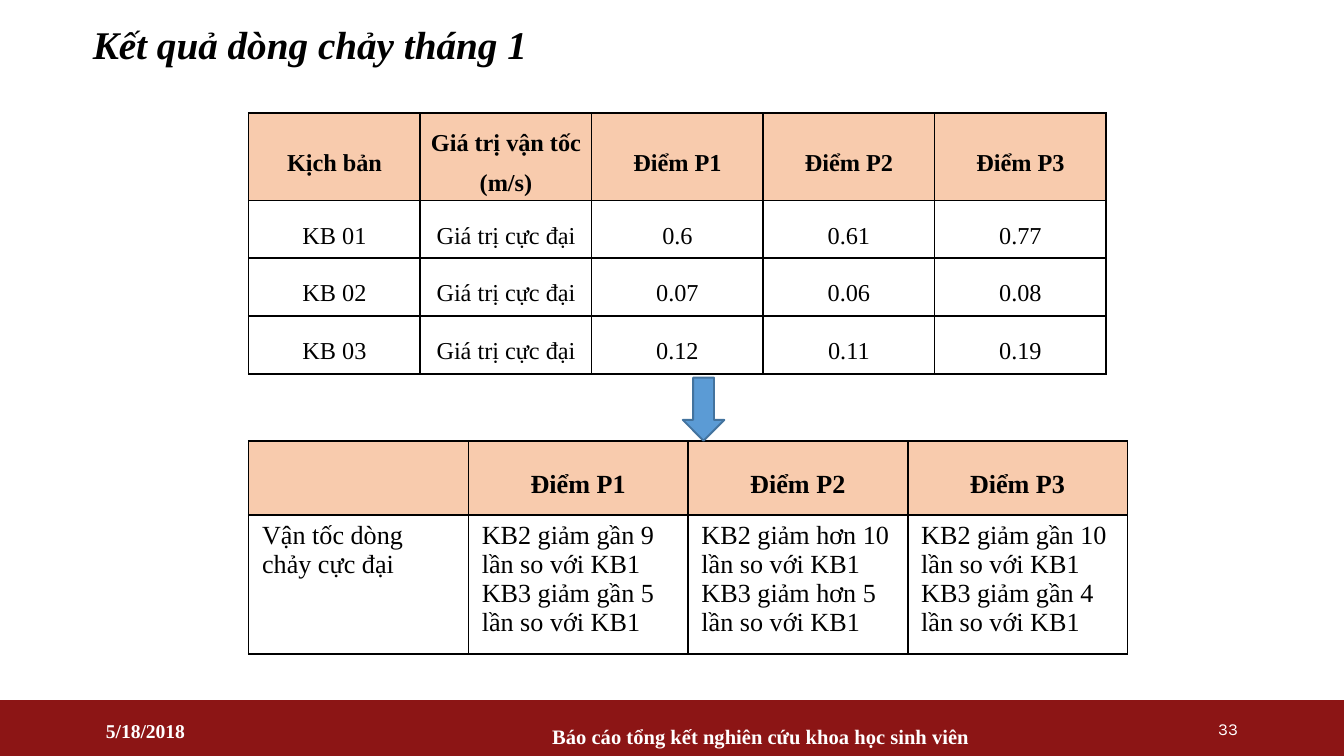
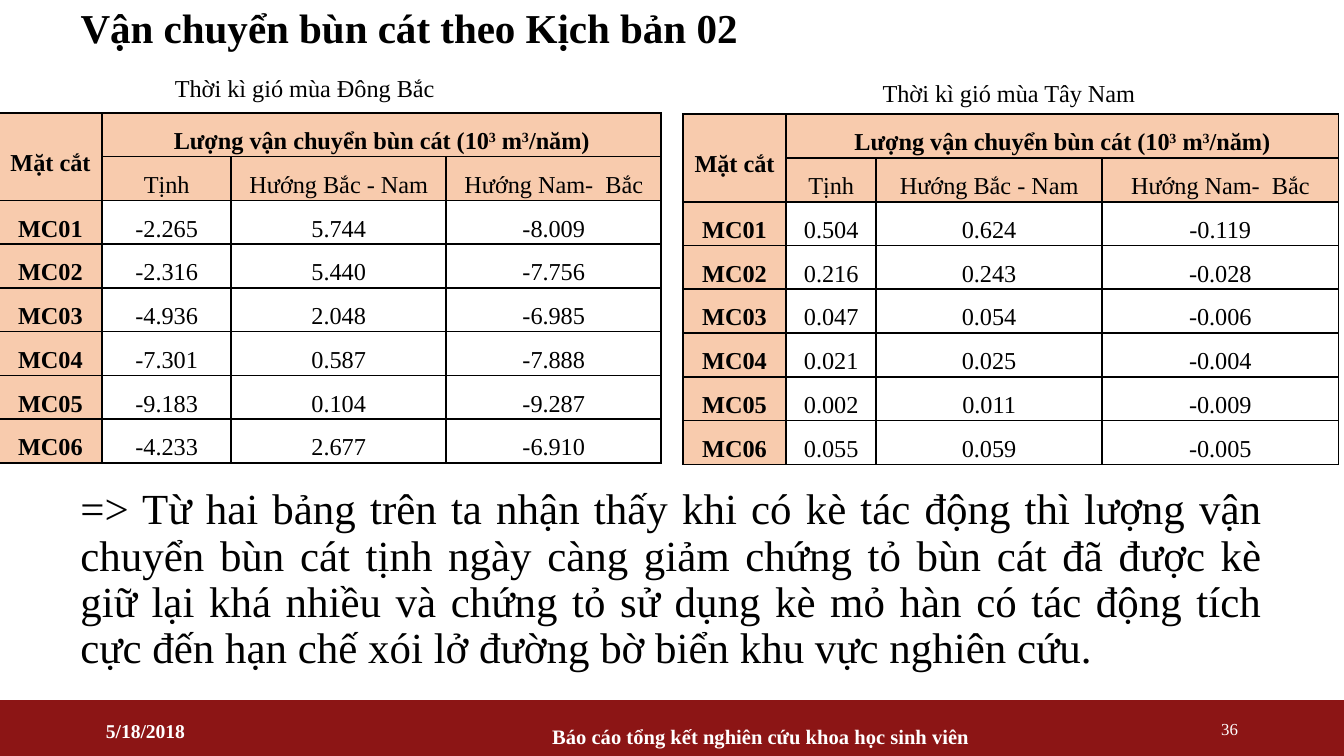
from dataclasses import dataclass

from lxml import etree
from pptx import Presentation
from pptx.dml.color import RGBColor
from pptx.enum.shapes import MSO_SHAPE
from pptx.enum.text import MSO_ANCHOR, MSO_AUTO_SIZE, PP_ALIGN
from pptx.oxml.ns import qn
from pptx.util import Inches, Pt

LEFT, MID, RIGHT, JUST = PP_ALIGN.LEFT, PP_ALIGN.CENTER, PP_ALIGN.RIGHT, PP_ALIGN.JUSTIFY
TOP, CENTER = MSO_ANCHOR.TOP, MSO_ANCHOR.MIDDLE
RECT, ARROW = MSO_SHAPE.RECTANGLE, MSO_SHAPE.DOWN_ARROW
FIXED = MSO_AUTO_SIZE.NONE
WIDE = 10
HIGH = WIDE * 9 / 16


@dataclass(frozen=True)
class Theme:
    """Colours, fonts and type sizes of the deck."""
    ink: str = "000000"
    paper: str = "FFFFFF"
    band: str = "8C1515"
    head: str = "F8CBAD"
    arrow: str = "5B9BD5"
    edge: str = "43739E"
    face: str = "Times New Roman"
    alt: str = "Karla"
    result: float = 21
    title: float = 22
    body: float = 23
    cell: float = 13
    note: float = 14
    date: float = 10.5
    foot: float = 11
    page: float = 9


THEME = Theme()


def put(item, **values):
    """Set every given attribute on an item."""
    for name, value in values.items():
        setattr(item, name, value)


def place(item, box):
    """Move an item to a box given in inches."""
    put(item, **dict(zip(("left", "top", "width", "height"), map(Inches, box))))


def style(run, size, color=THEME.ink, face=THEME.face, bold=False, italic=False):
    """Format the font of a run."""
    put(run.font, size=Pt(size), name=face, bold=bold, italic=italic)
    run.font.color.rgb = RGBColor.from_string(color)


def write(frame, text, size, para=None, **font):
    """Fill a frame line by line; text between carets is raised."""
    for num, line in enumerate(text.split("\n")):
        part = frame.add_paragraph() if num else frame.paragraphs[0]
        put(part, **(para or {}))
        for turn, piece in enumerate(line.split("^")):
            run = part.add_run()
            run.text = piece
            style(run, size, **font)
            if turn % 2:
                run.font._element.set("baseline", "30000")


def label(slide, box, text, size, align=MID, anchor=CENTER, wrap=True, gap=1, **font):
    """Add a text box."""
    item = slide.shapes.add_textbox(*map(Inches, box))
    put(item.text_frame, word_wrap=wrap, vertical_anchor=anchor)
    write(item.text_frame, text, size, {"alignment": align, "line_spacing": gap}, **font)


def block(slide, kind, box, fill, edge=None):
    """Add a filled preset shape."""
    item = slide.shapes.add_shape(kind, *map(Inches, box))
    item.shadow.inherit = False
    item.fill.solid()
    item.fill.fore_color.rgb = RGBColor.from_string(fill)
    if edge:
        item.line.color.rgb = RGBColor.from_string(edge)
        item.line.width = Pt(1)
    else:
        item.line.fill.background()


def title(slide, box, text, size, anchor, italic=False):
    """Place and format the title."""
    item = slide.shapes.title
    place(item, box)
    put(item.text_frame, word_wrap=True, auto_size=FIXED, vertical_anchor=anchor)
    write(item.text_frame, text, size, {"alignment": LEFT, "line_spacing": 0.9},
          bold=True, italic=italic)


def footer(slide, box, page, face):
    """Draw the band with date, report name and page number."""
    x, y = box[:2]
    white = {"color": THEME.paper}
    block(slide, RECT, box, THEME.band)
    label(slide, (x + 0.69, y + 0.08, 1.24, 0.3), "5/18/2018", THEME.date, LEFT,
          bold=True, **white)
    label(slide, (x + 3.5, y + 0.12, 4.32, 0.3),
          "Báo cáo tổng kết nghiên cứu khoa học sinh viên", THEME.foot, bold=True, **white)
    label(slide, (x + 7.94, y + 0.06, 1.37, 0.3), page, THEME.page, RIGHT, face=face, **white)


def border(cell):
    """Draw thin lines on all sides of a cell."""
    props = cell._tc.get_or_add_tcPr()
    for side in "LRTB":
        line = etree.SubElement(props, qn("a:ln" + side), w=str(Pt(1)))
        fill = etree.SubElement(line, qn("a:solidFill"))
        etree.SubElement(fill, qn("a:srgbClr"), val=THEME.ink)


def grid(slide, box, cols, rows, data, size=THEME.cell, tops=1, sides=0, loose=False):
    """Add a table with shaded head rows and side columns."""
    item = slide.shapes.add_table(len(rows), len(cols), *map(Inches, box))
    table = item.table
    put(table, first_row=False, horz_banding=False)
    for col, width in zip(table.columns, cols):
        col.width = Inches(width)
    for row, height in zip(table.rows, rows):
        row.height = Inches(height)
    place(item, box)
    for r, line in enumerate(data):
        for c, text in enumerate(line):
            cell = table.cell(r, c)
            shade = r < tops or c < sides
            border(cell)
            cell.fill.solid()
            cell.fill.fore_color.rgb = RGBColor.from_string(THEME.head if shade else THEME.paper)
            para = {"alignment": LEFT}
            if shade or not loose:
                put(cell, vertical_anchor=CENTER, margin_left=Inches(0.07),
                    margin_right=Inches(0.07), margin_top=0, margin_bottom=0)
                para = {"alignment": MID, "line_spacing": 1.5, "space_after": Pt(6)}
            if text:
                write(cell.text_frame, text, size, para, bold=r == 0 or c < sides)
    return table


def speeds(slide, box):
    """Add the table of top speeds."""
    points = ["Điểm P1", "Điểm P2", "Điểm P3"]
    values = [("0.6", "0.61", "0.77"), ("0.07", "0.06", "0.08"), ("0.12", "0.11", "0.19")]
    data = [["Kịch bản", "Giá trị vận tốc (m/s)", *points]]
    data += [[f"KB 0{n}", "Giá trị cực đại", *row] for n, row in enumerate(values, 1)]
    grid(slide, box, [box[2] / 5] * 5, [0.59] + [0.43] * 3, data)


def change(slide, box):
    """Add the table that compares the scenarios."""
    drops = [("gần 9", "gần 5"), ("hơn 10", "hơn 5"), ("gần 10", "gần 4")]
    data = [["", "Điểm P1", "Điểm P2", "Điểm P3"],
            ["Vận tốc dòng chảy cực đại"]
            + [f"KB2 giảm {a} lần so với KB1\nKB3 giảm {b} lần so với KB1" for a, b in drops]]
    grid(slide, box, [box[2] / 4] * 4, [0.55, 0.41], data, THEME.note, loose=True)


def sand(slide, box, cols, values):
    """Add the sediment table of one monsoon season."""
    data = [["Mặt cắt", "Lượng vận chuyển bùn cát (10^3^ m^3^/năm)", "", ""],
            ["", "Tịnh", "Hướng Bắc - Nam", "Hướng Nam-  Bắc"]]
    data += [[f"MC0{n}", *row.split()] for n, row in enumerate(values, 1)]
    table = grid(slide, box, cols, [box[3] / len(data)] * len(data), data, tops=2, sides=1)
    table.cell(0, 0).merge(table.cell(1, 0))
    table.cell(0, 1).merge(table.cell(0, 3))


def flow(slide, box):
    """Build the slide on January currents."""
    x, y = box[:2]
    title(slide, (x + 0.59, y + 0.14, 8.69, 0.63), "Kết quả dòng chảy tháng 1",
          THEME.result, TOP, True)
    speeds(slide, (x + 1.85, y + 0.84, 6.38, 1.95))
    change(slide, (x + 1.85, y + 3.28, 6.54, 1.58))
    block(slide, ARROW, (x + 5.08, y + 2.81, 0.31, 0.47), THEME.arrow, THEME.edge)


def drift(slide, box):
    """Build the slide on sediment transport."""
    x, y = box[:2]
    title(slide, (x + 0.5, y, 9, 0.45), "Vận chuyển bùn cát theo Kịch bản 02",
          THEME.title, CENTER)
    label(slide, (x + 0.5, y + 3.58, 9, 1.75),
          "=> Từ hai bảng trên ta nhận thấy khi có kè tác động thì lượng vận chuyển bùn cát "
          "tịnh ngày càng giảm chứng tỏ bùn cát đã được kè giữ lại khá nhiều và chứng tỏ sử "
          "dụng kè mỏ hàn có tác động tích cực đến hạn chế xói lở đường bờ biển khu vực "
          "nghiên cứu.", THEME.body, JUST, TOP, gap=0.9)
    sand(slide, (x - 0.01, y + 0.84, 4.93, 2.6), [0.77, 0.96, 1.6, 1.6],
         ["-2.265 5.744 -8.009", "-2.316 5.440 -7.756", "-4.936 2.048 -6.985",
          "-7.301 0.587 -7.888", "-9.183 0.104 -9.287", "-4.233 2.677 -6.910"])
    sand(slide, (x + 5.08, y + 0.85, 4.88, 2.6), [0.77, 0.67, 1.68, 1.76],
         ["0.504 0.624 -0.119", "0.216 0.243 -0.028", "0.047 0.054 -0.006",
          "0.021 0.025 -0.004", "0.002 0.011 -0.009", "0.055 0.059 -0.005"])
    label(slide, (x + 0.67, y + 0.53, 3.15, 0.24), " Thời kì gió mùa Đông Bắc", THEME.cell)
    label(slide, (x + 6.37, y + 0.53, 2.23, 0.32), " Thời kì gió mùa Tây Nam", THEME.cell,
          anchor=TOP, wrap=False)


def main():
    """Build and save the deck."""
    deck = Presentation()
    put(deck, slide_width=Inches(WIDE), slide_height=Inches(HIGH))
    for build, page, face in ((flow, "33", THEME.alt), (drift, "36", THEME.face)):
        slide = deck.slides.add_slide(deck.slide_layouts[5])
        footer(slide, (0, 5.21, WIDE, HIGH - 5.21), page, face)
        build(slide, (0, 0, WIDE, 5.21))
    deck.save("out.pptx")


if __name__ == "__main__":
    main()
